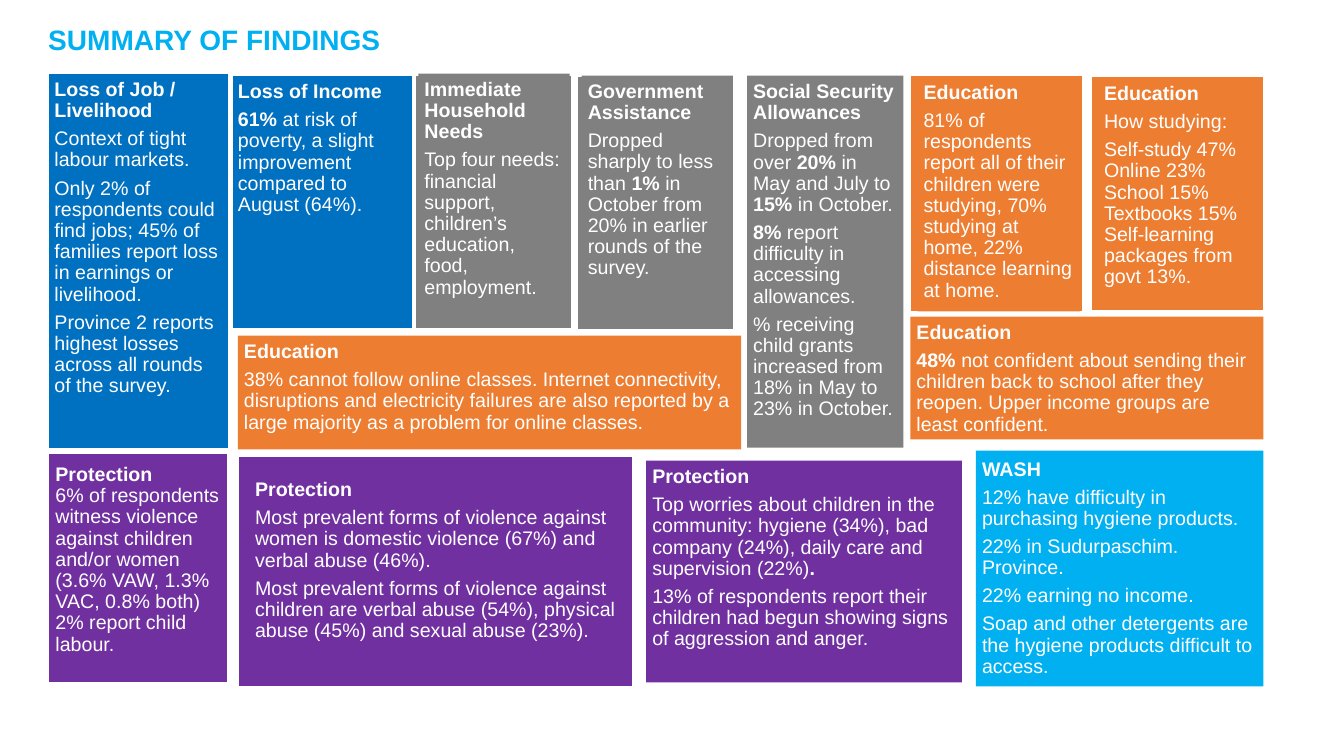
import pptx
import pptx.util
import pptx.dml.color
import pptx.enum.shapes
import pptx.enum.text

Inches, Pt = pptx.util.Inches, pptx.util.Pt
RGBColor = pptx.dml.color.RGBColor
ANCHOR = pptx.enum.text.MSO_ANCHOR

WHITE = RGBColor(0xFF, 0xFF, 0xFF)
BLUE = RGBColor(0x00, 0x70, 0xC0)
GRAY = RGBColor(0x80, 0x80, 0x80)
ORANGE = RGBColor(0xED, 0x7D, 0x31)
PURPLE = RGBColor(0x70, 0x30, 0xA0)
CYAN = RGBColor(0x00, 0xB0, 0xF0)
FONT = "Arial"
INSET = 0.06

# Each card: colour, framed rectangle (or None), text rectangle,
# whether the text has its own fill, paragraphs; ** switches bold
CARDS = [
    (BLUE, (0.48, 0.73, 1.79, 3.72), (0.48, 0.73, 1.79, 3.72), False, [
        "**Loss of Job / Livelihood**",
        "Context of tight labour markets.",
        "Only 2% of respondents could find jobs; 45% of families report loss "
        "in earnings or livelihood.",
        "Province 2 reports highest losses across all rounds of the survey."]),
    (BLUE, (2.3, 0.75, 1.79, 2.51), (2.3, 0.75, 1.79, 2.51), False, [
        "**Loss of Income**",
        "**61% **at risk of poverty, a slight improvement compared to "
        "August (64%)."]),
    (GRAY, (4.12, 0.75, 1.55, 2.51), (4.15, 0.73, 1.5, 2.47), True, [
        "**Immediate Household Needs**",
        "Top four needs: financial support, children’s education, food, "
        "employment."]),
    (GRAY, (5.73, 0.76, 1.55, 2.51), (5.77, 0.75, 1.5, 2.47), True, [
        "**Government Assistance**",
        "Dropped sharply to less than **1%** in October from 20% in earlier "
        "rounds of the survey."]),
    (GRAY, None, (7.41, 0.75, 1.55, 3.69), True, [
        "**Social Security Allowances**",
        "Dropped from over **20%** in May and July to **15%** in October.",
        "**8% **report difficulty in accessing allowances.",
        "% receiving child grants increased from 18% in May to 23% in "
        "October."]),
    (ORANGE, (9.03, 0.75, 1.71, 2.34), (9.1, 0.76, 1.61, 2.33), True, [
        "**Education**",
        "81% of respondents report all of their children were studying, 70% "
        "studying at home, 22% distance learning at home."]),
    (ORANGE, (10.82, 0.76, 1.71, 2.32), (10.89, 0.77, 1.6, 2.22), True, [
        "**Education**",
        "How studying:",
        "Self-study 47% Online 23% School 15% Textbooks 15% Self-learning "
        "packages from govt 13%."]),
    (ORANGE, None, (2.36, 3.33, 4.99, 1.13), True, [
        "**Education**",
        "38% cannot follow online classes. Internet connectivity, disruptions "
        "and electricity failures are also reported by a large majority as a "
        "problem for online classes."]),
    (ORANGE, None, (9.03, 3.14, 3.5, 1.22), True, [
        "**Education**",
        "**48% **not confident about sending their children back to school "
        "after they reopen. Upper income groups are least confident."]),
    (PURPLE, (2.36, 4.53, 3.92, 2.28), (2.47, 4.7, 3.7, 2.03), False, [
        "**Protection**",
        "Most prevalent forms of violence against women is domestic violence "
        "(67%) and verbal abuse (46%).",
        "Most prevalent forms of violence against children are verbal abuse "
        "(54%), physical abuse (45%) and sexual abuse (23%)."]),
    (PURPLE, None, (6.41, 4.57, 3.13, 2.2), True, [
        "**Protection**",
        "Top worries about children in the community: hygiene (34%), bad "
        "company (24%), daily care and supervision (22%)**.**",
        "13% of respondents report their children had begun showing signs of "
        "aggression and anger."]),
]

VIOLENCE = [
    "**Protection**\n6% of respondents witness violence against children "
    "and/or women\n(3.6% VAW, 1.3% VAC, 0.8% both)\n2% report child labour."]
WASH = [
    "**WASH**",
    "12% have difficulty in purchasing hygiene products.",
    "22% in Sudurpaschim. Province.",
    "22% earning no income.",
    "Soap and other detergents are the hygiene products difficult to access."]


def add_run(p, text, size, color, bold):
    r = p.add_run()
    r.text = text
    r.font.name = FONT
    r.font.size = Pt(size)
    r.font.bold = bold
    r.font.color.rgb = color


def add_rect(shapes, box, color, framed=False):
    sp = shapes.add_shape(pptx.enum.shapes.MSO_SHAPE.RECTANGLE,
                          *map(Inches, box))
    sp.shadow.inherit = False
    sp.fill.solid()
    sp.fill.fore_color.rgb = color
    if framed:
        sp.line.color.rgb = WHITE
        sp.line.width = Pt(1)
    else:
        sp.line.fill.background()
    return sp


def write_paragraphs(sp, paragraphs, anchor, bottom):
    tf = sp.text_frame
    tf.word_wrap = True
    tf.vertical_anchor = anchor
    tf.margin_left = tf.margin_right = tf.margin_top = Inches(INSET)
    tf.margin_bottom = Inches(bottom)
    for i, text in enumerate(paragraphs):
        p = tf.add_paragraph() if i else tf.paragraphs[0]
        p.alignment = pptx.enum.text.PP_ALIGN.LEFT
        p.line_spacing = 0.9
        p.space_after = Pt(4.9)
        for j, part in enumerate(text.split("**")):
            for k, line in enumerate(part.split("\n")):
                if k:
                    p.add_line_break()
                if line:
                    add_run(p, line, 14, WHITE, j % 2 == 1)


def add_card(slide, color, frame, box, filled, paragraphs,
             anchor=ANCHOR.TOP, bottom=INSET):
    shapes = slide.shapes
    if frame:
        shapes = shapes.add_group_shape().shapes
        add_rect(shapes, frame, color, framed=True)
    if filled:
        sp = add_rect(shapes, box, color)
    else:
        sp = shapes.add_textbox(*map(Inches, box))
    write_paragraphs(sp, paragraphs, anchor, bottom)


def add_title(slide, text):
    sp = slide.shapes.add_textbox(*map(Inches, (0.38, 0.17, 5.91, 0.44)))
    sp.text_frame.word_wrap = True
    add_run(sp.text_frame.paragraphs[0], text, 20, CYAN, True)


def main():
    prs = pptx.Presentation()
    prs.slide_width, prs.slide_height = Inches(13.33), Inches(7.5)
    slide = prs.slides.add_slide(prs.slide_layouts[6])

    # Top-aligned finding cards
    for card in CARDS:
        add_card(slide, *card)

    # Vertically centred cards
    add_card(slide, PURPLE, (0.48, 4.5, 1.78, 2.27), (0.49, 4.65, 1.87, 2.02),
             False, VIOLENCE, ANCHOR.MIDDLE, bottom=0.27)
    add_card(slide, CYAN, None, (9.68, 4.47, 2.85, 2.34),
             True, WASH, ANCHOR.MIDDLE)

    # Heading
    add_title(slide, "SUMMARY OF FINDINGS")
    prs.save("out.pptx")


if __name__ == "__main__":
    main()
